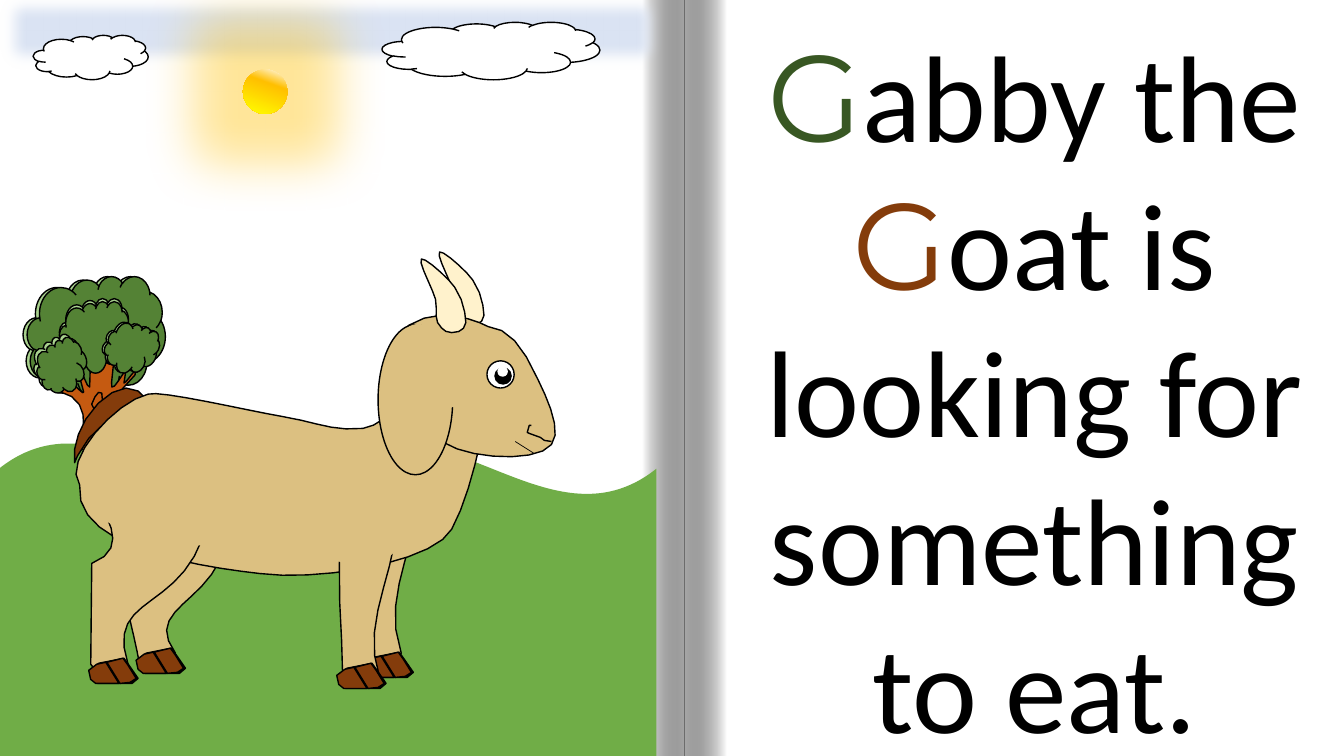
from math import ceil, hypot, sqrt

from pptx import Presentation
from pptx.dml.color import RGBColor
from pptx.enum.shapes import MSO_CONNECTOR, MSO_SHAPE
from pptx.enum.text import MSO_AUTO_SIZE, PP_ALIGN
from pptx.oxml import parse_xml
from pptx.oxml.ns import nsdecls, qn
from pptx.util import Inches, Pt

RECT, OVAL, CLOUD, DOUBLE_WAVE = MSO_SHAPE.RECTANGLE, MSO_SHAPE.OVAL, MSO_SHAPE.CLOUD, MSO_SHAPE.DOUBLE_WAVE
STRAIGHT, CENTER, FIT_SHAPE = MSO_CONNECTOR.STRAIGHT, PP_ALIGN.CENTER, MSO_AUTO_SIZE.SHAPE_TO_FIT_TEXT
BLACK, WHITE, COAT, HORN, HOOF, SKY = "000000", "FFFFFF", "DCC081", "FFF2CC", "843C0B", "DAE3F3"
LEAF, LEAF_EDGE, TRUNK, GRASS, SUN = "548235", "A9D18E", "C55A11", "70AD47", "FFC000"
TOLERANCE = 0.01

# Outlines in inches from the page corner: M start, L line, C cubic curve, Z close
STALK = """M .9 3.5 L 1.11 3.5 C 1.16 3.51 1.09 3.81 1.11 3.84 C 1.13 3.87 1.22 3.7 1.25 3.67 L 1.23 3.8
C 1.25 3.81 1.37 3.6 1.34 3.72 C .96 4.09 1.15 4.2 1.11 4.46 L .77 4.46 C .75 4.48 1.01 3.98 .58 3.88
L .64 3.79 C .65 3.69 .84 3.95 .83 3.89 C .82 3.84 .75 3.61 .77 3.62 C .79 3.59 .86 3.86 .89 3.84 Z"""
STALK_KNOT = "M .91 4.01 C .94 3.93 .98 3.86 1.01 3.9 C 1.03 3.99 1 4.02 1 4.08 C .95 4.11 .94 4.07 .91 4.01 Z"
TAIL = """M 1.25 3.85 C 1.12 3.86 .96 3.98 .85 4.16 C .76 4.31 .72 4.47 .74 4.59 L .77 4.52 L .88 4.35
C 1.06 4.14 1.31 4.04 1.43 4.15 L 1.47 4.18 L 1.47 4.11 C 1.47 4.01 1.44 3.92 1.37 3.88 L 1.25 3.85 Z"""
FRONT_LEG = """M 4.14 4.92 C 4.14 4.88 3.95 4.87 3.92 4.87 L 3.67 4.87 L 3.61 4.93 C 3.53 5.48 3.61 5.96 3.61 6.48
L 3.67 6.54 L 3.92 6.54 L 3.98 6.48 C 3.78 5.92 4.14 5.43 4.14 4.92 Z"""
FAR_HIND_LEG = """M 2.25 4.97 C 2.24 4.94 1.39 5.11 1.36 5.11 L 1.12 5.17 L 1.07 5.24 C 1.11 5.34 1.64 5.57 1.21 5.81
C 1.26 6.03 1.36 6.44 1.38 6.57 L 1.45 6.61 L 1.69 6.55 L 1.74 6.48 C 1.35 5.94 2.4 6 2.25 4.97 Z"""
NEAR_HIND_LEG = """M 2.11 4.83 C 2.11 4.79 1.24 4.74 1.21 4.74 L .96 4.74 L .9 4.82 C .91 4.96 1.38 5.41 .91 5.59
L .9 6.59 L .96 6.67 L 1.21 6.67 L 1.27 6.59 C 1.01 5.79 2.02 6.17 2.11 4.83 Z"""
HORN_OUTLINE = """M 4.8 3.13 C 4.8 3.05 4.77 2.89 4.69 2.78 C 4.62 2.68 4.39 2.48 4.36 2.5 C 4.32 2.52 4.47 2.79 4.5 2.9
C 4.52 3 4.49 3.07 4.52 3.13 C 4.56 3.19 4.59 3.23 4.66 3.23 C 4.74 3.23 4.79 3.2 4.8 3.13 Z"""
BODY = """M 4.48 5.25 C 4.66 4.93 4.8 4.27 4.82 4.05 C 4.85 3.83 4.64 3.71 4.47 3.72 C 4.32 3.54 3.9 4.22 3.6 4.25
C 3.29 4.28 3.15 4.19 2.79 4.13 C 2.44 4.07 1.59 3.87 1.47 3.91 C 1.15 3.98 .61 4.57 .79 4.81
C .72 5.43 1.96 5.62 2.58 5.69 C 3.19 5.77 4.31 5.57 4.48 5.25 Z"""
HOOF_BASE = "M 1.28 6.6 L 1.23 6.53 L .98 6.58 L .9 6.64 L .92 6.74 L .97 6.78 L 1.31 6.78 L 1.37 6.73 Z"
FRONT_TOE = "M 1.22 6.53 L 1.06 6.57 L 1.19 6.78 L 1.29 6.77 L 1.35 6.73 L 1.27 6.6 Z"
BACK_TOE = "M 1.05 6.57 L .96 6.59 L .88 6.65 L .9 6.74 L .95 6.78 L 1.18 6.78 Z"
HEAD = """M 5.47 4.41 C 5.61 4.24 5.32 3.74 5.22 3.54 C 5.11 3.35 4.98 3.25 4.84 3.24 C 4.69 3.16 4.22 2.99 3.92 3.35
C 3.89 3.51 4.15 4.21 4.4 4.39 C 4.66 4.56 5.34 4.59 5.47 4.41 Z"""
NOSE = "M 5.47 4.38 L 5.4 4.37 L 5.36 4.34 L 5.25 4.3 L 5.23 4.29 L 5.25 4.22 L 5.27 4.22"


def rgb(hex_color):
    return RGBColor.from_string(hex_color)


def paint(shape, fill, line):
    shape.shadow.inherit = False
    shape.line.width = Pt(1)
    for area, color in ((shape.fill, fill), (shape.line.fill, line)):
        if color:
            area.solid()
            area.fore_color.rgb = rgb(color)
        else:
            area.background()
    return shape


def add_preset(shapes, origin, kind, box, fill=None, line=None, rotation=0):
    left, top, width, height = box
    shape = shapes.add_shape(kind, Inches(origin[0] + left), Inches(origin[1] + top), Inches(width), Inches(height))
    shape.rotation = rotation
    return paint(shape, fill, line)


def outline_points(outline):
    """Turn an outline into points, dividing each curve only as finely as its bend needs."""
    tokens, points = iter(outline.rstrip("Z").split()), []
    for command in tokens:
        ends = [(float(next(tokens)), float(next(tokens))) for _ in range(3 if command == "C" else 1)]
        if command != "C":
            points += ends
            continue
        curve = [points[-1], *ends]
        bend = max(hypot(*(a - 2 * b + c for a, b, c in zip(*curve[i:i + 3]))) for i in (0, 1))
        steps = max(1, ceil(sqrt(0.75 * bend / TOLERANCE)))
        for t in (step / steps for step in range(1, steps + 1)):
            weights = ((1 - t) ** 3, 3 * t * (1 - t) ** 2, 3 * t * t * (1 - t), t ** 3)
            points.append(tuple(sum(w * p[axis] for w, p in zip(weights, curve)) for axis in (0, 1)))
    return points


def add_outline(shapes, origin, outline, fill=None, shift=(0, 0)):
    points = [(Inches(origin[0] + shift[0] + x), Inches(origin[1] + shift[1] + y)) for x, y in outline_points(outline)]
    builder = shapes.build_freeform(*points[0])
    builder.add_line_segments(points[1:], close=outline.endswith("Z"))
    return paint(builder.convert_to_shape(), fill, BLACK)


def set_gradient(shape, stops, angle):
    """Fill with (position %, colour, opacity %) stops; the angle runs clockwise."""
    marks = "".join(f'<a:gs pos="{pos * 1000}"><a:srgbClr val="{color}"><a:alpha val="{opacity * 1000}"/></a:srgbClr></a:gs>'
                    for pos, color, opacity in stops)
    shape.fill.gradient()
    properties = shape._element.spPr
    properties.replace(properties.find(qn("a:gradFill")), parse_xml(
        f'<a:gradFill {nsdecls("a")} rotWithShape="1"><a:gsLst>{marks}</a:gsLst>'
        f'<a:lin ang="{angle * 60000}" scaled="0"/></a:gradFill>'))


def add_effect(shape, tag, radius, content=""):
    shape._element.spPr.find(qn("a:effectLst")).append(parse_xml(
        f'<a:{tag} {nsdecls("a")} rad="{Inches(radius)}">{content}</a:{tag}>'))


def add_run(paragraph, text, font="Calibri", color=BLACK):
    run = paragraph.add_run()
    run.text, run.font.size, run.font.name = text, Pt(88), font
    run.font.color.rgb = rgb(color)


def draw_open_book(slide, origin, width, height, fold=6.79, shade=0.42):
    book = slide.shapes.add_group_shape().shapes
    add_preset(book, origin, RECT, (0, 0, width, height), WHITE)
    for left, angle in ((fold, 180), (fold - shade, 0)):
        gutter = add_preset(book, origin, RECT, (left, 0, shade, height))
        set_gradient(gutter, [(0, WHITE, 100), (100, BLACK, 34)], angle)


def write_story(slide, left, top, width, height):
    story = slide.shapes.add_textbox(Inches(left), Inches(top), Inches(width), Inches(height)).text_frame
    story.word_wrap, story.auto_size = True, FIT_SHAPE
    sentence = story.paragraphs[0]
    sentence.alignment = CENTER
    for color, ending in (("385723", "abby the "), (HOOF, "oat is looking for something to eat.")):
        add_run(sentence, "G", font="Montserrat", color=color)
        add_run(sentence, ending)


def draw_scenery(slide, origin):
    sky = add_preset(slide.shapes, origin, RECT, (-0.05, -0.12, 6.67, 0.85), SKY, SKY)
    add_effect(sky, "softEdge", 0.17)
    for box in ((0.33, 0.35, 1.14, 0.44), (3.79, 0.22, 2.16, 0.57)):
        add_preset(slide.shapes, origin, CLOUD, box, WHITE, BLACK)
    add_preset(slide.shapes, origin, DOUBLE_WAVE, (-0.01, 4.39, 6.52, 4.16), GRASS)
    sun = add_preset(slide.shapes, origin, OVAL, (2.41, 0.69, 0.44, 0.44))
    set_gradient(sun, [(0, WHITE, 100), (34, SUN, 100), (100, "FFFF00", 100)], 110)
    add_effect(sun, "glow", 1, f'<a:srgbClr val="{SUN}"><a:alpha val="40000"/></a:srgbClr>')


def draw_tree(slide, origin):
    tree = slide.shapes.add_group_shape().shapes

    def add_bush(left, top, width, height, dx, dy, rotation=0):
        add_preset(tree, origin, CLOUD, (left, top, width, height), LEAF_EDGE, BLACK, rotation)
        add_preset(tree, origin, CLOUD, (left + dx, top + dy, width, height), LEAF, BLACK, rotation)

    add_bush(0.23, 2.74, 1.37, 1.23, 0.04, 0)
    add_outline(tree, origin, STALK, TRUNK)
    add_bush(0.59, 2.96, 0.7, 0.71, 0, 0.03)
    add_outline(tree, origin, STALK_KNOT)
    add_bush(1.03, 3.19, 0.51, 0.52, 0.02, 0.01, 26.5)
    add_bush(0.33, 3.35, 0.51, 0.52, 0.03, 0.03, 338.5)


def draw_goat(slide, origin):
    goat = slide.shapes.add_group_shape().shapes

    def add_hoof(shift):
        for outline, color in ((HOOF_BASE, BLACK), (FRONT_TOE, HOOF), (BACK_TOE, HOOF)):
            add_outline(goat, origin, outline, color, shift)

    for outline, color in ((TAIL, HOOF), (FRONT_LEG, COAT), (FAR_HIND_LEG, COAT), (HORN_OUTLINE, HORN),
                           (BODY, COAT), (NEAR_HIND_LEG, COAT)):
        add_outline(goat, origin, outline, color)
    for shift in ((0, 0), (0.47, -0.1), (2.73, -0.06)):
        add_hoof(shift)
    add_outline(goat, origin, FRONT_LEG, COAT, (-0.21, 0.26))
    add_hoof((2.46, 0.05))
    add_outline(goat, origin, HEAD, COAT)
    add_outline(goat, origin, NOSE)
    x, y = origin
    mouth = goat.add_connector(STRAIGHT, Inches(x + 5.3), Inches(y + 4.5), Inches(x + 5.11), Inches(y + 4.38))
    mouth.line.color.rgb, mouth.line.width = rgb(BLACK), Pt(0.5)
    mouth._element.spPr.append(parse_xml(f'<a:effectLst {nsdecls("a")}/>'))
    add_preset(goat, origin, OVAL, (3.75, 3.22, 0.74, 1.49), COAT, BLACK)  # ear
    add_outline(goat, origin, HORN_OUTLINE, HORN, (-0.18, 0.07))
    # Coat patches blend the ear and legs into the body
    for box, turn in (((4.04, 3.18, 0.51, 0.9), 329.5), ((3.15, 4.75, 0.82, 0.9), 280.7), ((1.28, 4.08, 0.82, 1.78), 280.7)):
        add_preset(goat, origin, OVAL, box, COAT, COAT, turn)
    for left, top, size, fill, line in ((4.83, 3.58, 0.27, WHITE, BLACK), (4.91, 3.65, 0.16, BLACK, BLACK),
                                        (4.94, 3.64, 0.09, WHITE, WHITE)):  # eye
        add_preset(goat, origin, OVAL, (left, top, size, size), fill, line)


deck = Presentation()
deck.slide_width, deck.slide_height = Inches(13.33), Inches(7.5)
page = deck.slides.add_slide(deck.slide_layouts[6])
page.background.fill.solid()
page.background.fill.fore_color.rgb = rgb(BLACK)
draw_open_book(page, (0, 0), 13.33, 7.5)
write_story(page, 7.12, 0.14, 6.28, 7.51)
for draw in (draw_scenery, draw_tree, draw_goat):
    draw(page, (0, 0))
deck.save("out.pptx")
